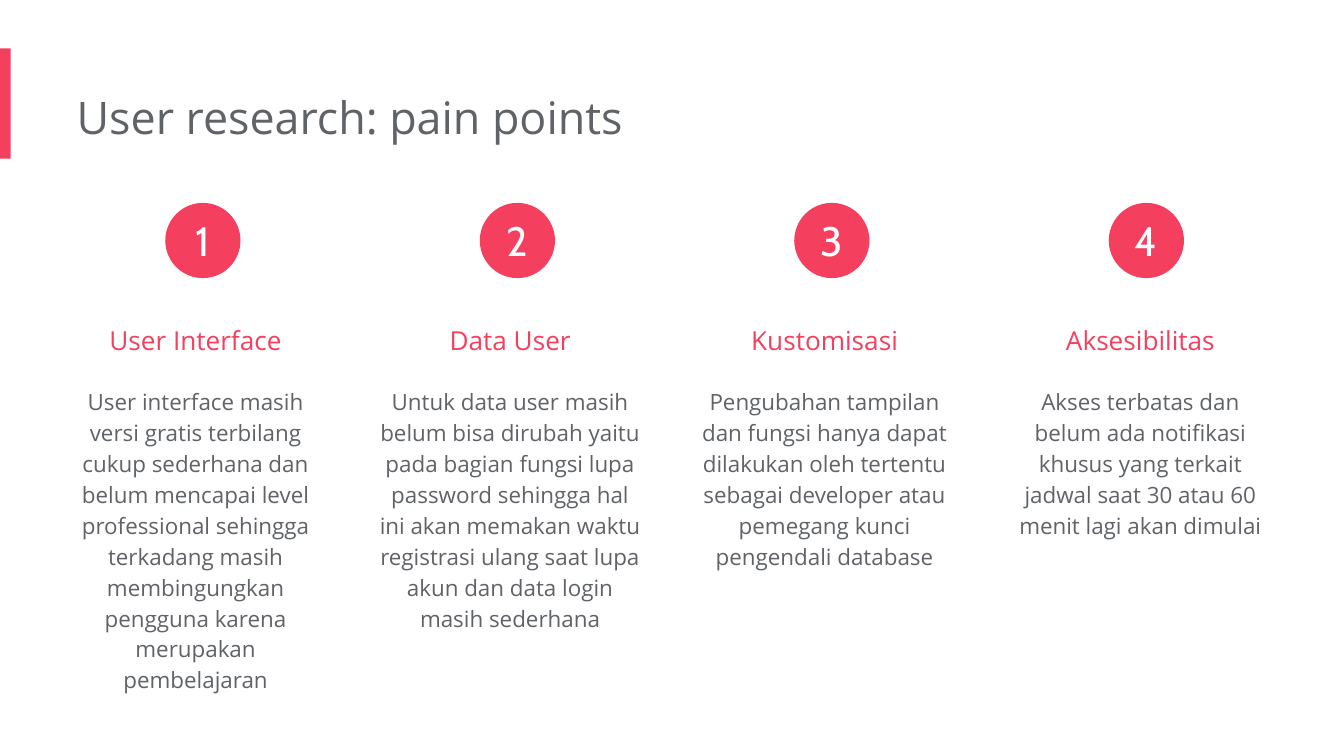
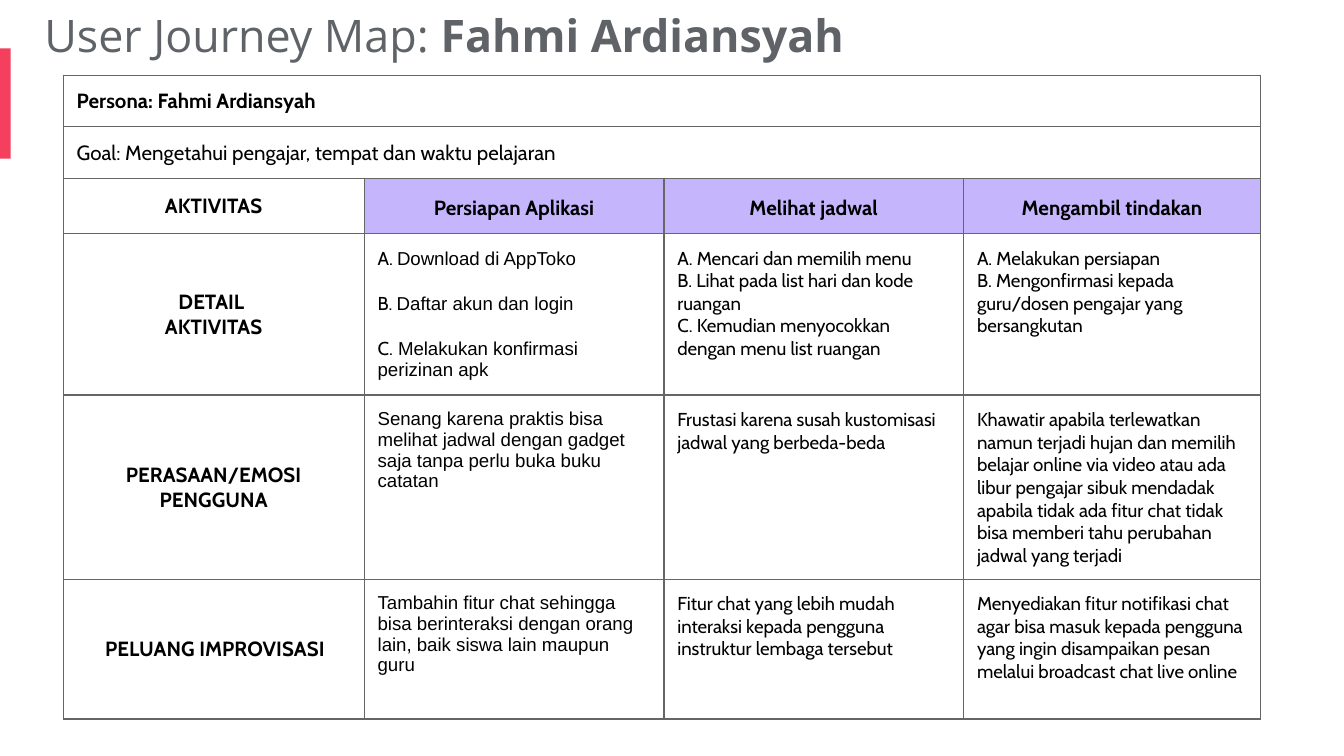
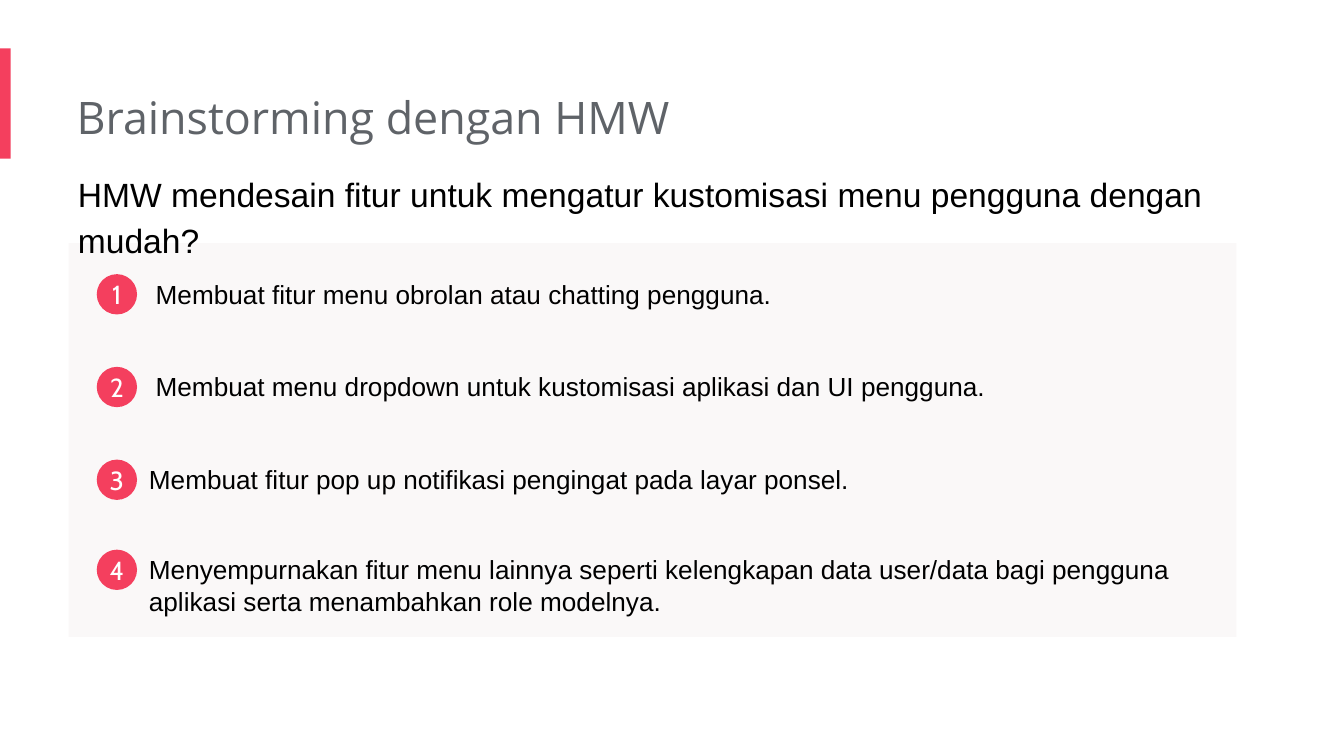
from lxml import etree
from pptx import Presentation
from pptx.dml.color import RGBColor
from pptx.enum import shapes, text
from pptx.oxml import ns
from pptx.util import Emu, Pt

# Content: a paragraph is a string or a list of (text, format) runs
PAINS = [
    ("User Interface", 252, "User interface masih versi gratis terbilang cukup sederhana dan "
     "belum mencapai level professional sehingga terkadang masih membingungkan "
     "pengguna karena merupakan pembelajaran"),
    ("Data User", 229, "Untuk data user masih belum bisa dirubah yaitu pada bagian fungsi lupa "
     "password sehingga hal ini akan memakan waktu registrasi ulang saat lupa "
     "akun dan data login masih sederhana"),
    ("Kustomisasi", 183, "Pengubahan tampilan dan fungsi hanya dapat dilakukan oleh tertentu "
     "sebagai developer atau pemegang kunci pengendali database"),
    ("Aksesibilitas", 160, "Akses terbatas dan belum ada notifikasi khusus yang terkait jadwal "
     "saat 30 atau 60 menit lagi akan dimulai"),
]

CABIN = {"name": "Cabin"}
NAME = "Fahmi Ardiansyah"
BANNERS = [("Persona: " + NAME, True),
           ("Goal: Mengetahui pengajar, tempat dan waktu pelajaran", False)]
HEADS = ["AKTIVITAS", "Persiapan Aplikasi", "Melihat jadwal", "Mengambil tindakan"]
JOURNEY = [
    (["DETAIL ", "AKTIVITAS"],
     [[("A. ", CABIN), ("Download di AppToko", {})],
      [("B. ", CABIN), ("Daftar akun dan login", {})],
      [("C.", CABIN), (" Melakukan konfirmasi perizinan apk", {})]],
     ["A. Mencari dan memilih menu",
      "B. Lihat pada list hari dan kode ruangan",
      "C. Kemudian menyocokkan dengan menu list ruangan"],
     ["A. Melakukan persiapan",
      "B. Mengonfirmasi kepada guru/dosen pengajar yang bersangkutan"]),
    (["PERASAAN/EMOSI", "PENGGUNA"],
     ["Senang karena praktis bisa melihat jadwal dengan gadget saja tanpa perlu "
      "buka buku catatan"],
     ["Frustasi karena susah kustomisasi jadwal yang berbeda-beda"],
     ["Khawatir apabila terlewatkan namun terjadi hujan dan memilih belajar online "
      "via video atau ada libur pengajar sibuk mendadak apabila tidak ada fitur chat "
      "tidak bisa memberi tahu perubahan jadwal yang terjadi"]),
    (["PELUANG IMPROVISASI"],
     ["Tambahin fitur chat sehingga bisa berinteraksi dengan orang lain, baik siswa "
      "lain maupun guru"],
     ["Fitur chat yang lebih mudah interaksi kepada pengguna instruktur lembaga tersebut"],
     ["Menyediakan fitur notifikasi chat agar bisa masuk kepada pengguna yang ingin "
      "disampaikan pesan melalui broadcast chat live online"]),
]
COLS = [224, 223, 223, 221]
ROWS = [38, 38, 41, 120, 137, 104]

QUESTION = "HMW mendesain fitur untuk mengatur kustomisasi menu pengguna dengan mudah?"
IDEAS = [  # text, box (left, top, width, height)
    ("Membuat fitur menu obrolan atau chatting pengguna.", (106, 197, 791, 44)),
    ("Membuat menu dropdown untuk kustomisasi aplikasi dan UI pengguna.",
     (106, 266, 804, 44)),
    ("Membuat fitur pop up notifikasi pengingat pada layar ponsel.", (101, 335, 796, 44)),
    ("Menyempurnakan fitur menu lainnya seperti kelengkapan data user/data bagi "
     "pengguna aplikasi serta menambahkan role modelnya.", (101, 402, 796, 67)),
]


class Theme:
    rose, gray, white, black = "F43F5E", "5F6368", "FFFFFF", "000000"
    lilac, panel, rule = "C4B5FD", "FAF8F8", "666666"
    title = {"name": "Open Sans", "size": 24, "color": gray}
    head = {"name": "Open Sans", "size": 14, "color": rose}
    body = {"name": "Open Sans", "size": 12, "color": gray}
    disc = {"name": "Cabin", "size": 22, "color": white}
    dot = disc | {"size": 14}
    label = {"name": "Cabin", "size": 11, "color": black}
    cell = label | {"size": 10, "bold": False}
    plain = cell | {"name": "Arial"}
    ask = {"name": "Arial", "size": 18, "color": black}
    idea = ask | {"size": 14}


LEFT, MID = text.PP_ALIGN.LEFT, text.PP_ALIGN.CENTER
TOP, CENTRE = text.MSO_ANCHOR.TOP, text.MSO_ANCHOR.MIDDLE
OVAL, RECT = shapes.MSO_SHAPE.OVAL, shapes.MSO_SHAPE.RECTANGLE
PX = 9144  # 100 px to the inch


def px(*sizes):
    return [Emu(size * PX) for size in sizes]


def paint(fill, color):
    fill.solid()
    fill.fore_color.rgb = RGBColor.from_string(color)


def style(font, form):
    for key, value in form.items():
        if key == "color":
            paint(font.fill, value)
        else:
            setattr(font, key, Pt(value) if key == "size" else value)


def write(frame, paras, form, align=LEFT, space=1, gap=0):
    for i, runs in enumerate(paras):
        para = frame.add_paragraph() if i else frame.paragraphs[0]
        para.alignment, para.line_spacing = align, space
        para.space_before = Pt(gap if i else 0)
        for words, extra in [(runs, {})] if isinstance(runs, str) else runs:
            run = para.add_run()
            run.text = words
            style(run.font, form | extra)


def setup(frame, inset=0):
    values = {"margin_left": px(inset)[0], "word_wrap": True, "vertical_anchor": TOP,
              "auto_size": text.MSO_AUTO_SIZE.SHAPE_TO_FIT_TEXT}
    values |= dict.fromkeys(("margin_top", "margin_right", "margin_bottom"), px(10)[0])
    for key, value in values.items():
        setattr(frame, key, value)


def box(slide, at, words, form, inset=0, **layout):
    frame = slide.shapes.add_textbox(*px(*at)).text_frame
    setup(frame, inset)
    write(frame, [words], form, **layout)


def shape(slide, kind, at, color):
    item = slide.shapes.add_shape(kind, *px(*at))
    item.shadow.inherit = False
    paint(item.fill, color)
    item.line.fill.background()
    return item


def badge(slide, left, top, size, number, form):
    frame = shape(slide, OVAL, (left, top, size, size), Theme.rose).text_frame
    for side in ("left", "top", "right", "bottom"):
        setattr(frame, "margin_" + side, 0)
    frame.vertical_anchor = CENTRE
    write(frame, [str(number)], form, MID)


def start(deck, runs, at=(57, 57, 673, 61)):
    """Add a slide with its title."""
    slide = deck.slides.add_slide(deck.slide_layouts[5])
    title = slide.shapes.title
    title.left, title.top, title.width, title.height = px(*at)
    setup(title.text_frame)
    write(title.text_frame, [runs], Theme.title)
    return slide


def border(cell):
    props = cell._tc.get_or_add_tcPr()
    for side in ("lnL", "lnR", "lnT", "lnB"):
        line = etree.SubElement(props, ns.qn("a:" + side), w=str(Pt(0.75)))
        fill = etree.SubElement(line, ns.qn("a:solidFill"))
        etree.SubElement(fill, ns.qn("a:srgbClr"), val=Theme.rule)


def pains(deck):
    slide = start(deck, "User research: pain points")
    for i, (head, tall, words) in enumerate(PAINS):
        left = 48 + 703 * i // 3
        box(slide, (left, 220, 205, 56), head, Theme.head, align=MID, space=1.5)
        box(slide, (left, 276, 205, tall), words, Theme.body, align=MID, space=1.15)
        badge(slide, 123 + 234 * i, 151, 56, i + 1, Theme.disc)
    return slide


def journey(deck):
    slide = start(deck, [("User Journey Map: ", {}), (NAME, {"bold": True})],
                  (33, -4, 668, 61))
    grid = slide.shapes.add_table(len(ROWS), len(COLS), *px(47, 56, 891, 478)).table
    for col, wide in zip(grid.columns, COLS):
        col.width = px(wide)[0]
    for row, tall in zip(grid.rows, ROWS):
        row.height = px(tall)[0]
    for cell in grid.iter_cells():
        border(cell)
        paint(cell.fill, Theme.white)
        cell.vertical_anchor = CENTRE
        for side in ("left", "top", "right", "bottom"):
            setattr(cell, "margin_" + side, px(10)[0])

    bold = Theme.label | {"bold": True}
    for r, (words, heavy) in enumerate(BANNERS):
        grid.cell(r, 0).merge(grid.cell(r, len(COLS) - 1))
        write(grid.cell(r, 0).text_frame, [words], Theme.label | {"bold": heavy})
    for c, words in enumerate(HEADS):
        cell = grid.cell(2, c)
        write(cell.text_frame, [words], bold, MID, 1.15 if c else 1)
        if c:
            paint(cell.fill, Theme.lilac)
    for r, (label, *notes) in enumerate(JOURNEY, 3):
        write(grid.cell(r, 0).text_frame, label, bold, MID)
        for c, paras in enumerate(notes, 1):
            cell = grid.cell(r, c)
            cell.vertical_anchor = TOP
            first = c == 1
            write(cell.text_frame, paras, Theme.plain if first else Theme.cell,
                  gap=12 if first else 0)
    grid.cell(len(ROWS) - 1, 0).margin_left = px(12)[0]


def ideas(deck):
    slide = start(deck, "Brainstorming dengan HMW")
    shape(slide, RECT, (51, 181, 869, 293), Theme.panel)
    box(slide, (58, 115, 861, 90), QUESTION, Theme.ask, space=1.15)
    for i, (words, at) in enumerate(IDEAS, 1):
        box(slide, at, words, Theme.idea, inset=10)
        badge(slide, 72, at[1] + 7, 30, i, Theme.dot)


def main():
    deck = Presentation()
    deck.slide_width = px(1000)[0]
    deck.slide_height = Emu(deck.slide_width * 9 // 16)
    first = pains(deck)
    # The accent bar is shared, so it moves to the layout
    bar = shape(first, RECT, (0, 36, 8, 82), Theme.rose)
    first.slide_layout.shapes._spTree.append(bar._element)
    journey(deck)
    ideas(deck)
    deck.save("out.pptx")


if __name__ == "__main__":
    main()
